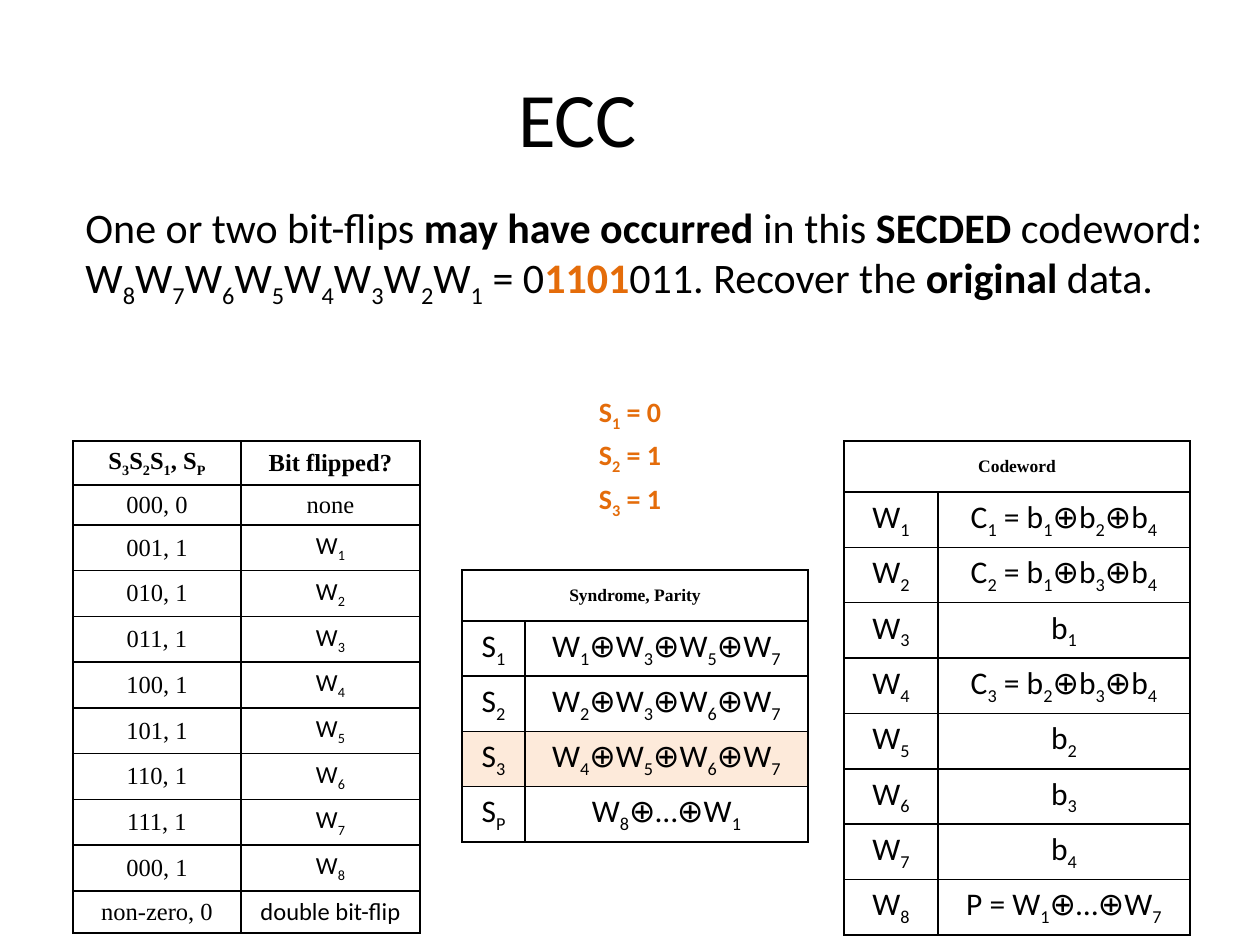
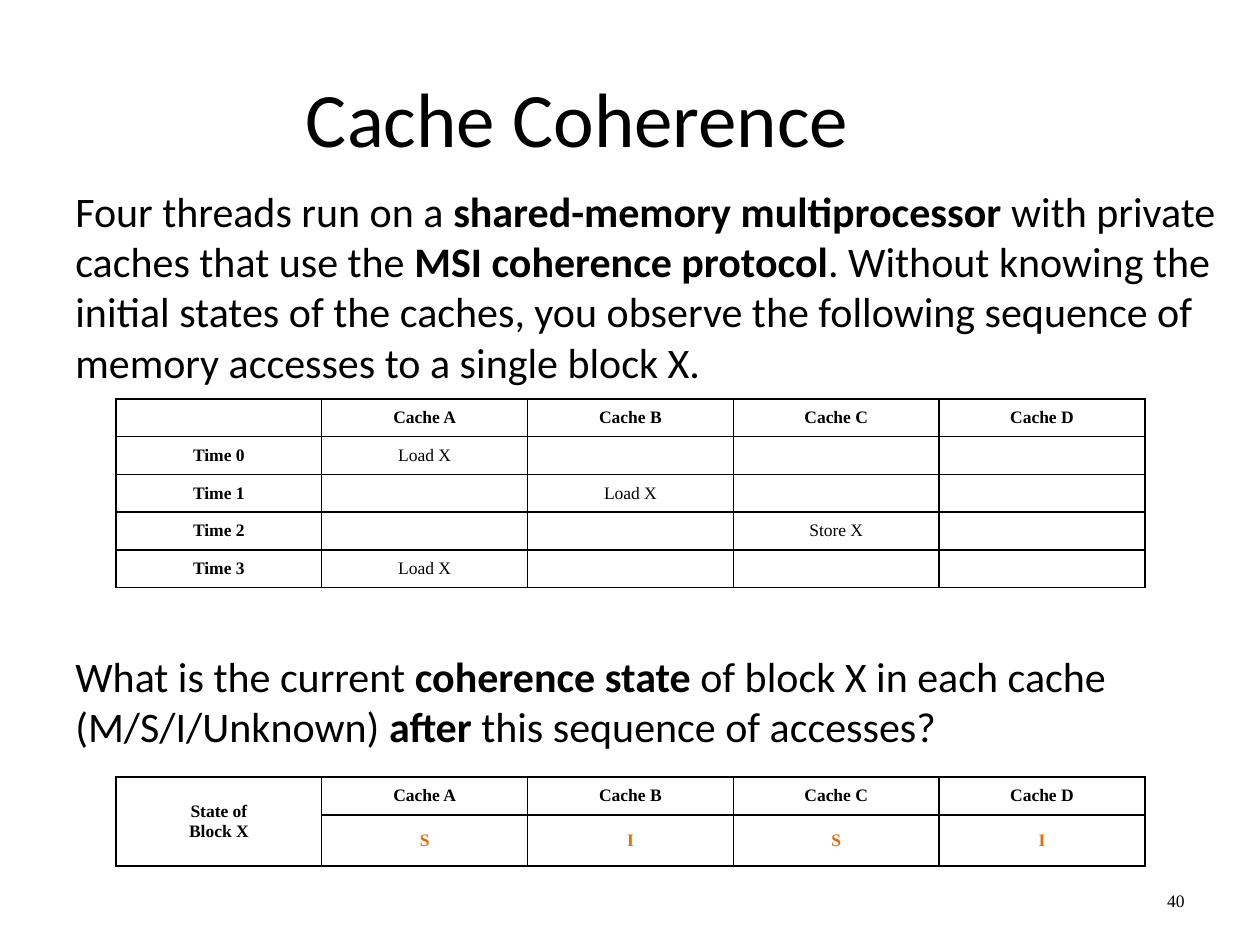
from lxml.etree import SubElement
from pptx import Presentation
from pptx.dml.color import RGBColor as Rgb
from pptx.enum.text import MSO_ANCHOR as Anchor, PP_ALIGN as Align
from pptx.oxml.ns import qn
from pptx.util import Pt

PX = 914400 // 126
COLORS = {"ink": "000000", "accent": "E46C0A", "paper": "FFFFFF", "highlight": "FDEADA"}
SANS, SERIF = "Calibri", "Times New Roman"
CELL_MARGIN = 4

# Content: *bold*, ~bold accent~, _ puts the next character in subscript
ECC_TITLE = "ECC"
ECC_TASK = ("One or two bit-flips *may have occurred *in this *SECDED* codeword: "
            "W_8W_7W_6W_5W_4W_3W_2W_1 = 0~1101~011. Recover the *original* data.")
SYNDROME_BITS = "~S_1 = 0~\n~S_2 = 1~\n~S_3 = 1~"
FLIPS = [
    ("*S_3S_2S_1, S_P*", "*Bit flipped?*"),
    ("000, 0", "none"),
    *[(f"{bit:03b}, 1", f"W_{bit}") for bit in range(1, 8)],
    ("000, 1", "W_8"),
    ("non-zero, 0", "double bit-flip"),
]
SYNDROMES = [
    ("*Syndrome, Parity*", ""),
    ("S_1", "W_1⊕W_3⊕W_5⊕W_7"),
    ("S_2", "W_2⊕W_3⊕W_6⊕W_7"),
    ("S_3", "W_4⊕W_5⊕W_6⊕W_7"),
    ("S_P", "W_8⊕…⊕W_1"),
]
CODEWORD_BITS = ["C_1 = b_1⊕b_2⊕b_4", "C_2 = b_1⊕b_3⊕b_4", "b_1", "C_3 = b_2⊕b_3⊕b_4",
                 "b_2", "b_3", "b_4", "P = W_1⊕…⊕W_7"]
CODEWORD = [("*Codeword*", "")] + [(f"W_{n}", bit) for n, bit in enumerate(CODEWORD_BITS, 1)]

COHERENCE_TITLE = "Cache Coherence"
COHERENCE_TASK = ("Four threads run on a *shared-memory multiprocessor *with private caches that "
                  "use the *MSI coherence protocol*. Without knowing the initial states of the "
                  "caches, you observe the following sequence of memory accesses to a single "
                  "block X.")
COHERENCE_QUESTION = ("What is the current *coherence state *of block X in each cache "
                      "(M/S/I/Unknown) *after* this sequence of accesses?")
CACHES = [f"*Cache {name}*" for name in "ABCD"]
ACCESSES = [
    ["", *CACHES],
    ["*Time 0*", "Load X", "", "", ""],
    ["*Time 1*", "", "Load X", "", ""],
    ["*Time 2*", "", "", "Store X", ""],
    ["*Time 3*", "Load X", "", "", ""],
]
STATES = [["*State of\nBlock X*", *CACHES], ["", "~S~", "~I~", "~S~", "~I~"]]
PAGE_NUMBER = "40"


def px(value):
    return round(value * PX)


def split_spans(text):
    """Yield (text, bold, accent, subscript) pieces; a newline is a piece of its own."""
    bold = accent = subscript = False
    piece = ""
    for char in text:
        if subscript:
            yield char, bold, accent, True
            subscript = False
        elif char in "*~_\n":
            if piece:
                yield piece, bold, accent, False
                piece = ""
            if char == "\n":
                yield char, bold, accent, False
            bold ^= char in "*~"
            accent ^= char == "~"
            subscript = char == "_"
        else:
            piece += char
    if piece:
        yield piece, bold, accent, False


def write(frame, text, size=24, font=SANS, align=Align.LEFT, anchor=Anchor.TOP, gap=0):
    frame.word_wrap = True
    frame.vertical_anchor = anchor
    para = frame.paragraphs[0]
    para.alignment = align
    for piece, bold, accent, subscript in split_spans(text):
        if piece == "\n":
            para = frame.add_paragraph()
            para.alignment = align
            para.space_before = Pt(gap)
            continue
        span = para.add_run()
        span.text = piece
        span.font.name, span.font.size, span.font.bold = font, Pt(size), bold
        span.font.color.rgb = Rgb.from_string(COLORS["accent" if accent else "ink"])
        if subscript:
            span.font._element.set("baseline", "-25000")
    if not text:  # an empty cell must not grow to the default size
        SubElement(para._p, qn("a:endParaRPr"), sz=str(size * 100))


def add_text(page, text, left, top, width, height, **style):
    box = page.shapes.add_textbox(px(left), px(top), px(width), px(height))
    write(box.text_frame, text, **style)


def add_title(page, text):
    add_text(page, text, 63, 38, 1029, 157, size=44, align=Align.CENTER, anchor=Anchor.MIDDLE)


def draw_borders(cell):
    props = cell._tc.get_or_add_tcPr()
    for side in ("lnL", "lnR", "lnT", "lnB"):
        line = SubElement(props, qn(f"a:{side}"), w=str(Pt(1)))
        fill = SubElement(line, qn("a:solidFill"))
        SubElement(fill, qn("a:srgbClr"), val=COLORS["ink"])


def add_grid(page, rows, left, top, widths, heights, style_of, merge=None, highlight=None):
    """Draw a table; merge is the (row, column) that the first cell extends to."""
    table = page.shapes.add_table(len(rows), len(widths), px(left), px(top),
                                  px(sum(widths)), px(sum(heights))).table
    table.first_row = table.horz_banding = False
    for column, width in zip(table.columns, widths):
        column.width = px(width)
    for row, height in zip(table.rows, heights):
        row.height = px(height)
    for r, texts in enumerate(rows):
        for c, text in enumerate(texts):
            cell = table.cell(r, c)
            draw_borders(cell)
            cell.fill.solid()
            color = COLORS["highlight" if r == highlight else "paper"]
            cell.fill.fore_color.rgb = Rgb.from_string(color)
            cell.margin_top = cell.margin_bottom = px(CELL_MARGIN)
            write(cell.text_frame, text, align=Align.CENTER, **style_of(r, c))
            cell.vertical_anchor = Anchor.MIDDLE
    if merge:
        table.cell(0, 0).merge(table.cell(*merge))


def flip_style(row, column):
    return {"size": 14, "font": SERIF if column == 0 or row < 2 else SANS}


def formula_style(row, column):
    return {"size": 18, "font": SANS} if row else {"size": 10, "font": SERIF}


def small_style(row, column):
    return {"size": 10, "font": SERIF}


def build_ecc(page):
    add_title(page, ECC_TITLE)
    add_text(page, ECC_TASK, 73, 195, 1167, 236)
    add_text(page, SYNDROME_BITS, 567, 388, 126, 171, size=16, align=Align.CENTER, gap=3.2)
    add_grid(page, FLIPS, 73, 441, [168, 179], [44, 40] + [366 / 8] * 8 + [42], flip_style)
    add_grid(page, SYNDROMES, 462, 570, [63, 283], [51] + [221 / 4] * 4, formula_style,
             merge=(0, 1), highlight=3)
    add_grid(page, CODEWORD, 844, 441, [94, 252], [51] + [443 / 8] * 8, formula_style,
             merge=(0, 1))


def build_coherence(page):
    widths = [1029 / 5] * 5
    add_title(page, COHERENCE_TITLE)
    add_text(page, COHERENCE_TASK, 63, 179, 1187, 216)
    add_grid(page, ACCESSES, 116, 399, widths, [189 / 5] * 5, small_style)
    add_text(page, COHERENCE_QUESTION, 63, 644, 1187, 116)
    add_grid(page, STATES, 116, 777, widths, [38, 51], small_style, merge=(1, 0))
    add_text(page, PAGE_NUMBER, 1050, 876, 147, 50, size=10, font=SERIF, align=Align.RIGHT,
             anchor=Anchor.MIDDLE)


def main():
    deck = Presentation()
    deck.slide_width, deck.slide_height = px(1260), px(945)
    for build in (build_ecc, build_coherence):
        build(deck.slides.add_slide(deck.slide_layouts[6]))
    deck.save("out.pptx")


if __name__ == "__main__":
    main()
